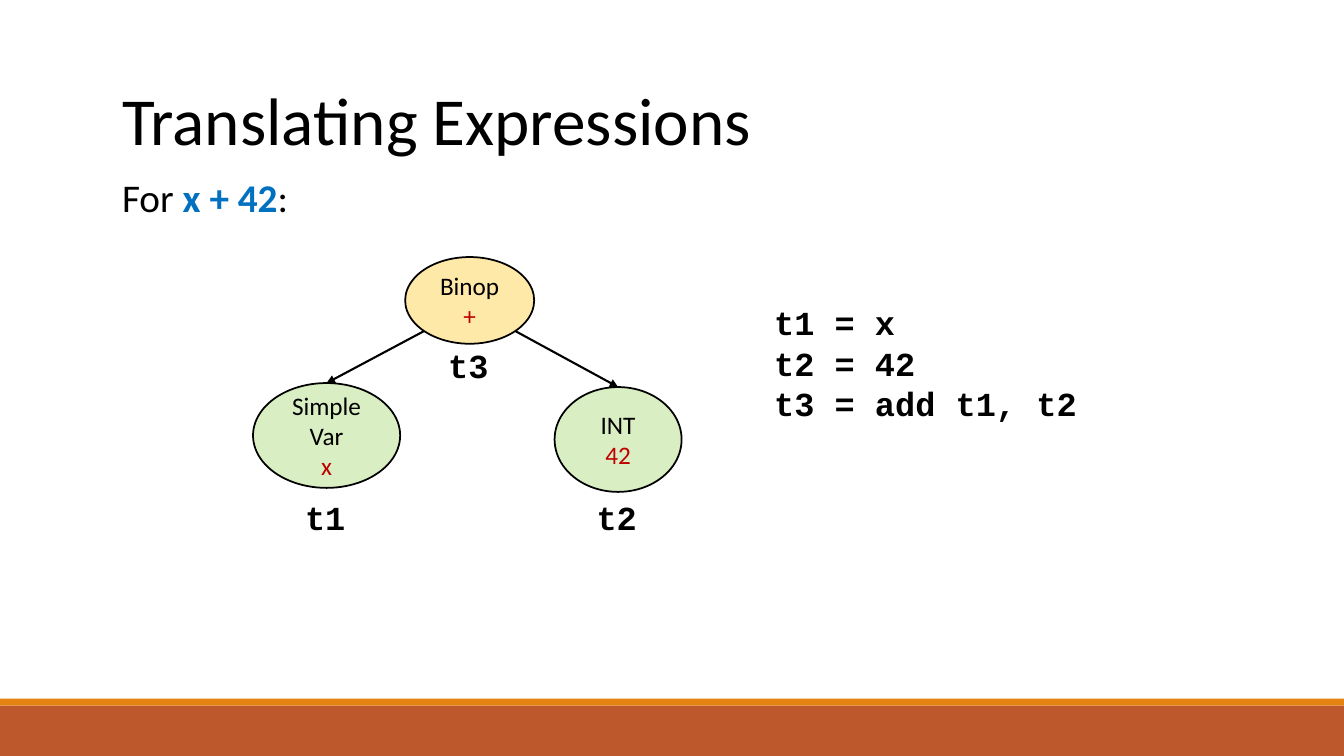
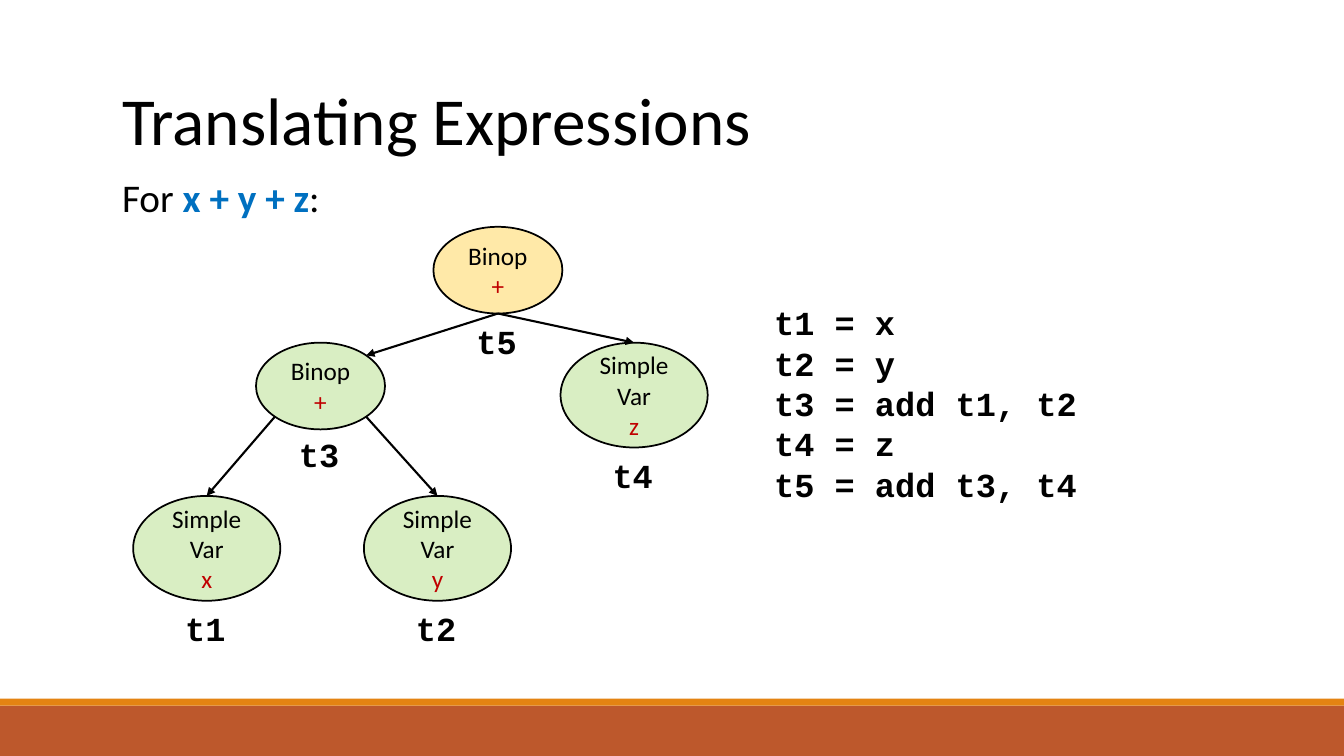
from math import cos, pi, sin
from lxml.etree import SubElement
from pptx import Presentation
from pptx.dml.color import RGBColor
from pptx.enum.shapes import MSO_CONNECTOR, MSO_SHAPE
from pptx.enum.text import MSO_ANCHOR, MSO_AUTO_SIZE, PP_ALIGN
from pptx.oxml.ns import qn
from pptx.util import Inches, Pt

W, H = Inches(13.33), Inches(7.5)
BLACK = RGBColor(0x00, 0x00, 0x00)
BLUE = RGBColor(0x00, 0x70, 0xC0)
RED = RGBColor(0xC0, 0x00, 0x00)
GOLD = RGBColor(0xFF, 0xC0, 0x00)
GREEN = RGBColor(0x92, 0xD0, 0x50)
RUST = RGBColor(0xBD, 0x58, 0x2C)
ORANGE = RGBColor(0xE4, 0x83, 0x12)
SANS, MONO = "Calibri", "Courier New"
BINOP, VAR, INT = (9.6, 11.47), (10.95, 13.87), (9.45, 13.87)
TOP, LOWER_LEFT, BOTTOM, LOWER_RIGHT, UPPER_RIGHT = 0, 3, 4, 5, 7


def box(x, y, w, h):
    return [int(n * side / 100) for n, side in zip((x, y, w, h), (W, H, W, H))]


def place(sp, *shares):
    sp.left, sp.top, sp.width, sp.height = box(*shares)


def add_run(p, text, size, color=BLACK, font=SANS, bold=False):
    r = p.add_run()
    r.text = text
    r.font.name, r.font.size, r.font.bold = font, Pt(size), bold
    r.font.color.rgb = color


def next_paragraph(tf, i):
    return tf.add_paragraph() if i else tf.paragraphs[0]


def add_bands(prs, s):
    tree = prs.slide_master.shapes.element
    for i, (top, height, color) in enumerate([(93.33, 6.67, RUST), (92.4, 0.93, ORANGE)]):
        sp = s.shapes.add_shape(MSO_SHAPE.RECTANGLE, *box(0, top, 100, height))
        sp.shadow.inherit = False
        sp.fill.solid()
        sp.fill.fore_color.rgb = color
        sp.line.fill.background()
        sp.element.nvSpPr.cNvPr.set("id", str(100 + i))
        tree.insert(2 + i, sp.element)


def add_heading(s, expression):
    title, body = s.shapes.title, s.placeholders[1]
    for sp in (title, body):
        sp.text_frame.auto_size = MSO_AUTO_SIZE.NONE
        sp.text_frame.vertical_anchor = MSO_ANCHOR.TOP
    p = title.text_frame.paragraphs[0]
    p.alignment = PP_ALIGN.LEFT
    add_run(p, "Translating Expressions", 48)
    p = body.text_frame.paragraphs[0]
    p.space_before = Pt(0)
    pPr = p._p.get_or_add_pPr()
    pPr.set("marL", "0")
    pPr.set("indent", "0")
    SubElement(pPr, qn("a:buNone"))
    add_run(p, "For ", 28)
    add_run(p, expression, 28, BLUE, bold=True)
    add_run(p, ":", 28)


def add_mono(s, lines, x, y, w, h, align=PP_ALIGN.LEFT):
    tf = s.shapes.add_textbox(*box(x, y, w, h)).text_frame
    tf.word_wrap = True
    for i, line in enumerate(lines):
        p = next_paragraph(tf, i)
        p.alignment = align
        add_run(p, line, 24, font=MONO, bold=True)


def add_code(s, *lines):
    add_mono(s, lines, 56.86, 39.33, 38.78, 1.33 + 5.39 * len(lines))


def add_node(s, size, center, top, words, temp, color=GREEN, gap=0.27):
    w, h = size
    sp = s.shapes.add_shape(MSO_SHAPE.OVAL, *box(center - w / 2, top, w, h))
    sp.shadow.inherit = False
    sp.fill.solid()
    sp.fill.fore_color.rgb = color
    SubElement(sp.element.spPr.find(".//" + qn("a:srgbClr")), qn("a:alpha"), val="34000")
    sp.line.color.rgb = BLACK
    sp.line.width = Pt(1.25)
    tf = sp.text_frame
    tf.vertical_anchor = MSO_ANCHOR.MIDDLE
    for i, word in enumerate(words):
        p = next_paragraph(tf, i)
        p.alignment = PP_ALIGN.CENTER
        add_run(p, word, 18, RED if i == len(words) - 1 else BLACK)
    add_mono(s, [temp], center - 2.85, top + h + gap, 5.5, 6.67, PP_ALIGN.CENTER)
    return sp


def site_point(sp, site):
    angle = site * pi / 4
    x = sp.left + sp.width / 2 * (1 - sin(angle))
    y = sp.top + sp.height / 2 * (1 - cos(angle))
    return int(x), int(y)


def add_edge(s, parent, out_site, child, in_site=TOP):
    c = s.shapes.add_connector(
        MSO_CONNECTOR.STRAIGHT, *site_point(parent, out_site), *site_point(child, in_site))
    c.line.color.rgb = BLACK
    c.line.width = Pt(1.5)
    SubElement(c.line._get_or_add_ln(), qn("a:tailEnd"), type="triangle")
    SubElement(c.element.spPr, qn("a:effectLst"))
    ends = c.element.find(".//" + qn("p:cNvCxnSpPr"))
    for tag, sp, site in (("a:stCxn", parent, out_site), ("a:endCxn", child, in_site)):
        SubElement(ends, qn(tag), id=str(sp.shape_id), idx=str(site))


def add_constant_slide(s):
    add_heading(s, "x + 42")
    root = add_node(s, BINOP, 34.95, 34, ["Binop", "+"], "t3", GOLD, gap=-0.53)
    x = add_node(s, VAR, 24.3, 50.67, ["Simple", "Var", "x"], "t1", gap=0.53)
    number = add_node(s, INT, 45.99, 51.2, ["INT", "42"], "t2", gap=0)
    add_edge(s, root, LOWER_RIGHT, number)
    add_edge(s, root, LOWER_LEFT, x)
    add_code(s, "t1 = x", "t2 = 42", "t3 = add t1, t2")


def add_nested_slide(s):
    add_heading(s, "x + y + z")
    root = add_node(s, BINOP, 37.05, 30, ["Binop", "+"], "t5", GOLD)
    inner = add_node(s, BINOP, 23.85, 45.33, ["Binop", "+"], "t3", gap=-0.13)
    x, y, z = [
        add_node(s, VAR, center, top, ["Simple", "Var", name], temp)
        for center, top, name, temp in [
            (15.38, 65.6, "x", "t1"), (32.55, 65.6, "y", "t2"), (47.18, 45.33, "z", "t4")]]
    add_edge(s, root, BOTTOM, inner, UPPER_RIGHT)
    add_edge(s, root, BOTTOM, z)
    add_edge(s, inner, LOWER_LEFT, x)
    add_edge(s, inner, LOWER_RIGHT, y)
    add_code(s, "t1 = x", "t2 = y", "t3 = add t1, t2", "t4 = z", "t5 = add t3, t4")


def main():
    prs = Presentation()
    prs.slide_width, prs.slide_height = W, H
    layout = prs.slide_layouts[1]
    place(layout.placeholders[0], 8.33, 9.73, 83.2, 12.13)
    place(layout.placeholders[1], 8.33, 22.27, 87.4, 7.6)
    first, second = [prs.slides.add_slide(layout) for _ in range(2)]
    add_bands(prs, first)
    add_constant_slide(first)
    add_nested_slide(second)
    prs.save("out.pptx")


if __name__ == "__main__":
    main()
